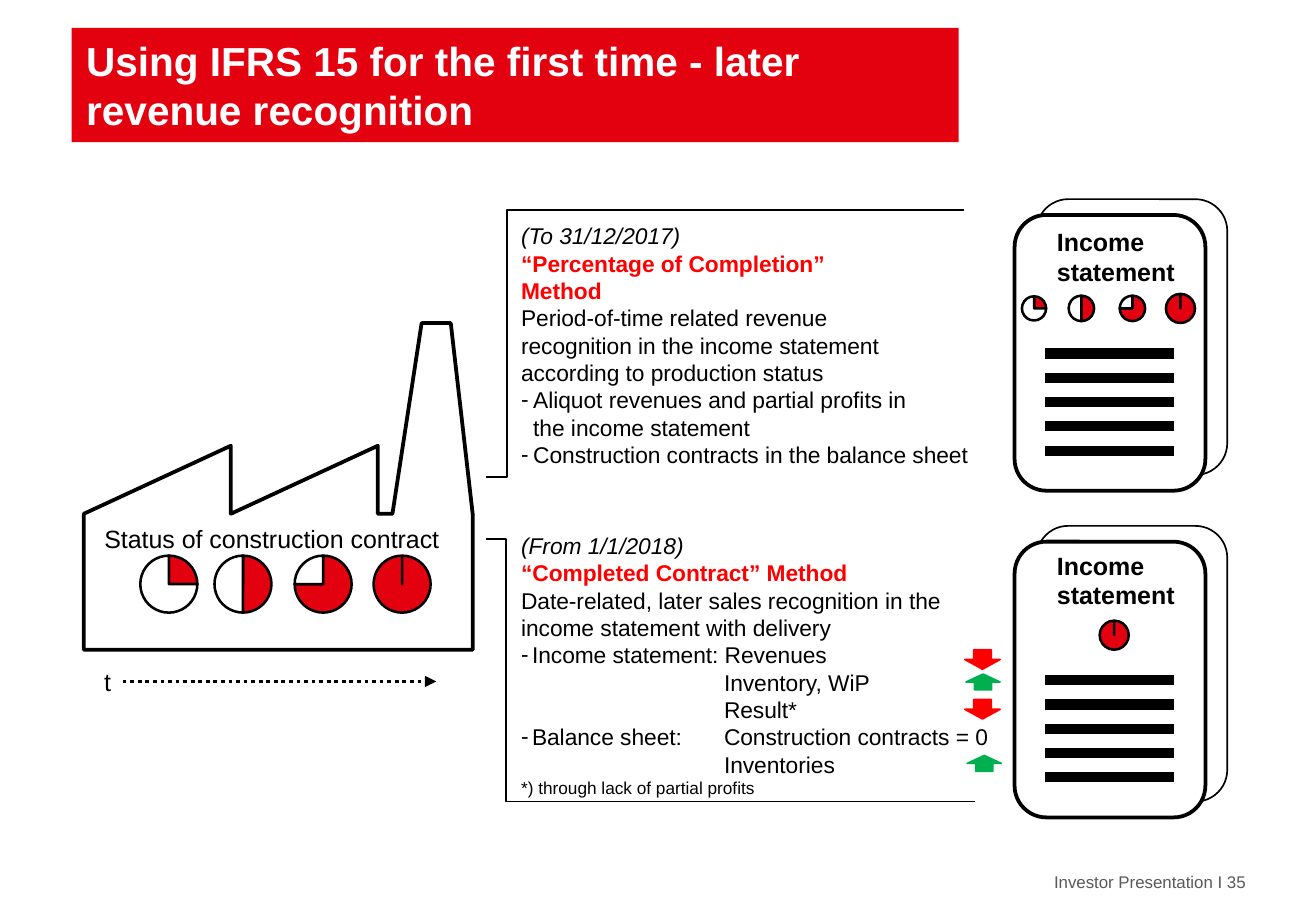
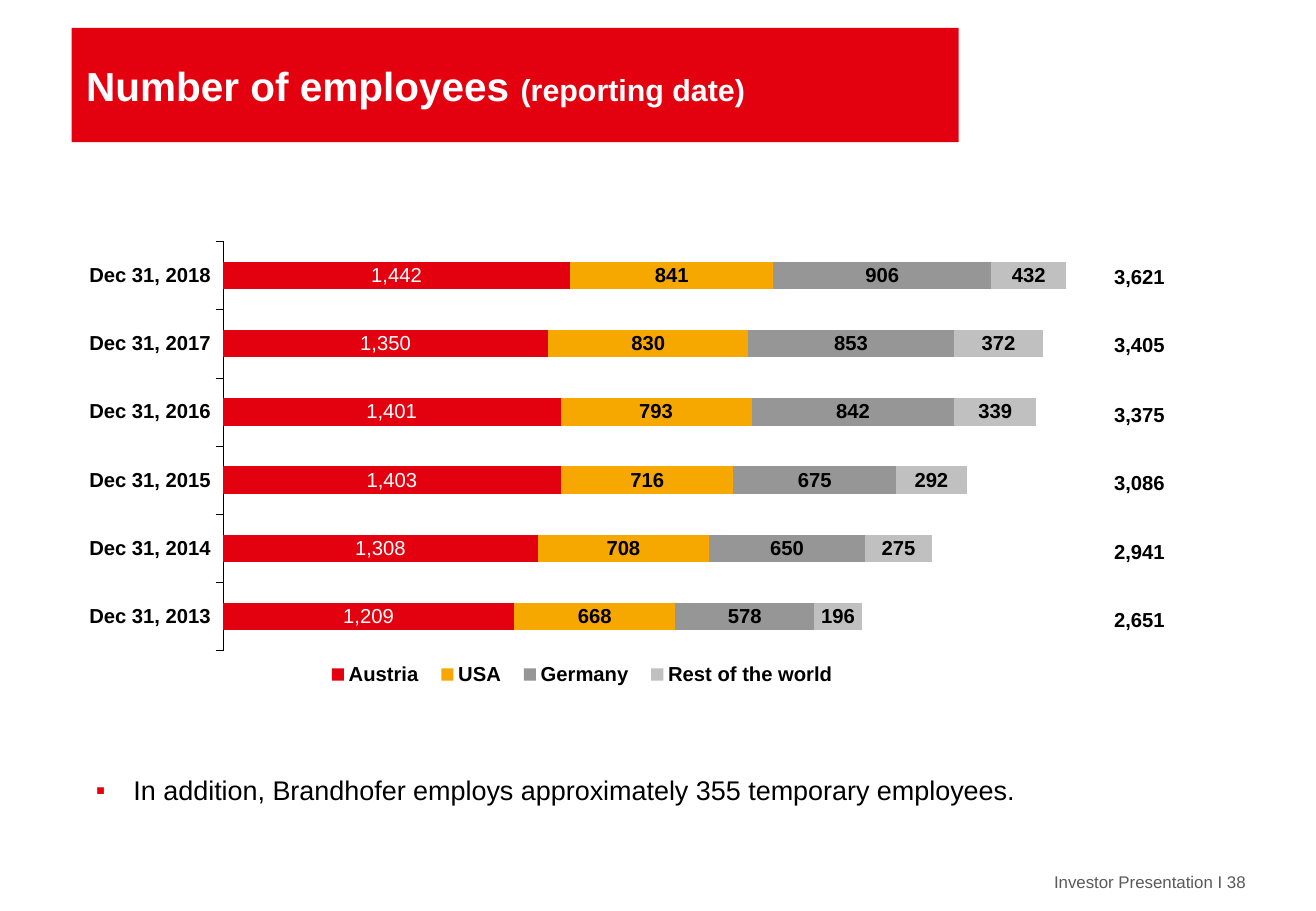
from dataclasses import dataclass

from lxml.etree import SubElement
from pptx import Presentation
from pptx.chart.data import CategoryChartData
from pptx.dml.color import RGBColor
from pptx.enum.chart import XL_CHART_TYPE, XL_LABEL_POSITION, XL_LEGEND_POSITION, XL_TICK_MARK
from pptx.enum.dml import MSO_LINE
from pptx.enum.shapes import MSO_CONNECTOR, MSO_SHAPE
from pptx.enum.text import MSO_ANCHOR, PP_ALIGN
from pptx.oxml.ns import qn
from pptx.util import Pt

PX = 9144  # EMU in one px; 100 px make an inch


@dataclass(frozen=True)
class Theme:
    font: str = "Arial"
    brand: str = "E3000F"
    black: str = "000000"
    white: str = "FFFFFF"
    red: str = "FF0000"
    green: str = "00B050"
    footer_grey: str = "5A5A5A"
    amber: str = "F6A800"
    grey: str = "969696"
    light_grey: str = "C0C0C0"
    title: float = 24
    subtitle: float = 18
    bullet: float = 16
    label: float = 14.8
    body: float = 13.5
    chart: float = 12
    note: float = 10.2
    footer: float = 10


THEME = Theme()


@dataclass
class Span:
    text: str
    size: float = THEME.body
    color: str = THEME.black
    bold: bool = False
    italic: bool = False


@dataclass
class Para:
    spans: list
    left: int = 0
    bullet: str = ""
    bullet_color: str = THEME.black
    tab: int = 0
    align: PP_ALIGN = PP_ALIGN.LEFT


def rgb(color):
    return RGBColor.from_string(color)


def emu(*lengths):
    return [length * PX for length in lengths]


def style_font(font, size, color, bold=False, italic=False):
    font.name, font.size, font.bold, font.italic = THEME.font, Pt(size), bold, italic
    font.color.rgb = rgb(color)


def add_indent(paragraph, para):
    """Set the left margin, the hanging bullet and the tab stop."""
    properties = paragraph._p.get_or_add_pPr()
    properties.set("marL", str(para.left * PX))
    properties.set("indent", str(-para.left * PX if para.bullet else 0))
    if para.bullet:
        color = SubElement(properties, qn("a:buClr"))
        SubElement(color, qn("a:srgbClr"), val=para.bullet_color)
        SubElement(properties, qn("a:buFont"), typeface=THEME.font)
        SubElement(properties, qn("a:buChar"), char=para.bullet)
    if para.tab:
        stops = SubElement(properties, qn("a:tabLst"))
        SubElement(stops, qn("a:tab"), pos=str(para.tab * PX), algn="l")


def add_text(slide, bounds, paras, insets=(10, 5), anchor=MSO_ANCHOR.TOP, wrap=True):
    frame = slide.shapes.add_textbox(*emu(*bounds)).text_frame
    frame.word_wrap, frame.vertical_anchor = wrap, anchor
    frame.margin_left = frame.margin_right = insets[0] * PX
    frame.margin_top = frame.margin_bottom = insets[1] * PX
    for index, para in enumerate(paras):
        paragraph = frame.add_paragraph() if index else frame.paragraphs[0]
        add_indent(paragraph, para)
        paragraph.alignment = para.align
        for span in para.spans:
            run = paragraph.add_run()
            run.text = span.text
            style_font(run.font, span.size, span.color, span.bold, span.italic)


def style_shape(shape, fill=None, line=None, width=1.0):
    shape.shadow.inherit = False
    if fill:
        shape.fill.solid()
        shape.fill.fore_color.rgb = rgb(fill)
    else:
        shape.fill.background()
    if line:
        shape.line.color.rgb = rgb(line)
        shape.line.width = Pt(width)
    else:
        shape.line.fill.background()


def add_shape(slide, kind, bounds, fill=None, line=None, width=1.0):
    style_shape(slide.shapes.add_shape(kind, *emu(*bounds)), fill, line, width)


def add_line(slide, start, end, width, kind=MSO_CONNECTOR.STRAIGHT):
    connector = slide.shapes.add_connector(kind, *emu(*start, *end))
    connector.line.color.rgb = rgb(THEME.black)
    connector.line.width = Pt(width)
    SubElement(connector.element.spPr, qn("a:effectLst"))
    return connector


def add_bracket(slide, start, end, bend):
    """Draw an elbow line whose upright lies at bend, a share of its width."""
    connector = add_line(slide, start, end, 1, MSO_CONNECTOR.ELBOW)
    guides = connector.element.spPr.find(qn("a:prstGeom")).get_or_add_avLst()
    SubElement(guides, qn("a:gd"), name="adj1", fmla=f"val {round(bend * 100000)}")


def set_layout(parent, position, x, y, width, height):
    """Place a plot area or legend by shares of the chart's size."""
    for old in parent.findall(qn("c:layout")):
        parent.remove(old)
    layout = SubElement(parent, qn("c:layout"))
    parent.insert(position, layout)
    manual = SubElement(layout, qn("c:manualLayout"))
    if parent.tag == qn("c:plotArea"):
        SubElement(manual, qn("c:layoutTarget"), val="inner")
    for tag in ("xMode", "yMode"):
        SubElement(manual, qn(f"c:{tag}"), val="edge")
    for tag, value in zip("xywh", (x, y, width, height)):
        SubElement(manual, qn(f"c:{tag}"), val=f"{value:.3f}")


def add_chart(slide, kind, bounds, data, size, bold=False):
    chart = slide.shapes.add_chart(kind, *emu(*bounds), data).chart
    chart.has_title = chart.has_legend = False
    style_font(chart.font, size, THEME.black, bold)
    properties = SubElement(chart.element, qn("c:spPr"))
    SubElement(properties, qn("a:noFill"))
    SubElement(SubElement(properties, qn("a:ln")), qn("a:noFill"))
    chart.element.find(qn("c:chart")).addnext(properties)
    return chart


def add_progress_pie(slide, bounds, done, diameter):
    data = CategoryChartData()
    data.categories = ["1", "2", "3", "4"]
    data.add_series("Series 1", [done, 100 - done, None, None])
    chart = add_chart(slide, XL_CHART_TYPE.PIE, bounds, data, THEME.footer)
    width, height = diameter / bounds[2], diameter / bounds[3]
    plot_area = chart.element.find(".//" + qn("c:plotArea"))
    set_layout(plot_area, 0, (1 - width) / 2, (1 - height) / 2, width, height)
    plot = chart.plots[0]
    plot.vary_by_categories = True
    for index in range(4):
        point = plot.series[0].points[index].format
        point.fill.solid()
        point.fill.fore_color.rgb = rgb(THEME.white if index else THEME.brand)
        point.line.color.rgb = rgb(THEME.black)
        point.line.width = Pt(1.5)


def add_frame(deck, title_spans, number):
    """Add a slide with the title band and the footer."""
    slide = deck.slides.add_slide(deck.slide_layouts[6])
    add_shape(slide, MSO_SHAPE.RECTANGLE, (59, 23, 730, 94), THEME.brand)
    footer = Span(f"Investor Presentation I {number}", THEME.footer, THEME.footer_grey)
    add_text(slide, (836, 718, 189, 20), [Para([footer], align=PP_ALIGN.RIGHT)], (0, 0))
    spans = [Span(text, size, THEME.white, True) for text, size in title_spans]
    add_text(slide, (71, 23, 706, 94), [Para(spans)], (0, 0), MSO_ANCHOR.MIDDLE)
    return slide


def add_label(slide, bounds, *lines, bold=False):
    paras = [Para([Span(line, THEME.label, bold=bold)]) for line in lines]
    add_text(slide, bounds, paras, wrap=False)


def add_income_statement(slide, top, heading_top, pies):
    add_shape(slide, MSO_SHAPE.ROUNDED_RECTANGLE, (853, top, 157, 227), None, THEME.black)
    add_shape(slide, MSO_SHAPE.ROUNDED_RECTANGLE, (835, top + 13, 157, 227),
              THEME.white, THEME.black, 2.25)
    add_label(slide, (860, heading_top, 118, 60), "Income", "statement", bold=True)
    for left, width, done, diameter in pies:
        add_progress_pie(slide, (left, top + 60, width, 60), done, diameter)
    for row in range(5):
        y = top + 127 + 20 * row
        add_line(slide, (860, y), (966, y), 6)


def add_factory(slide):
    outline = [(69, 423), (190, 367), (190, 423), (311, 367), (311, 423), (323, 423),
               (347, 266), (371, 266), (389, 423), (389, 535)]
    builder = slide.shapes.build_freeform(69, 535, scale=PX)
    builder.add_line_segments(outline, close=True)
    style_shape(builder.convert_to_shape(), None, THEME.black, 2.25)
    pies = ((102, 74, 25), (162, 76, 50), (228, 76, 75), (290, 82, 100))
    for left, width, done in pies:
        add_progress_pie(slide, (left, 444, width, 74), done, 47)
    add_label(slide, (76, 426, 299, 35), "Status of construction contract")
    add_label(slide, (76, 544, 26, 35), "t")
    arrow = add_line(slide, (101, 561), (359, 561), 2.25)
    arrow.line.dash_style = MSO_LINE.ROUND_DOT
    SubElement(arrow.element.spPr.find(qn("a:ln")), qn("a:tailEnd"), type="triangle")


def method_heading(period, *names):
    return [Para([Span(period, italic=True)]),
            *(Para([Span(name, color=THEME.red, bold=True)]) for name in names)]


def build_revenue_slide(deck):
    title = "Using IFRS 15 for the first time - later revenue recognition"
    slide = add_frame(deck, [(title, THEME.title)], 35)
    add_income_statement(slide, 164, 182, [
        (828, 46, 25, 20), (866, 48, 50, 21), (908, 48, 75, 21), (946, 51, 100, 24)])
    add_text(slide, (419, 178, 393, 215), [
        *method_heading("(To 31/12/2017)", "“Percentage of Completion”", "Method"),
        Para([Span("Period-of-time related revenue")]),
        Para([Span("recognition in the income statement")]),
        Para([Span("according to production status")]),
        Para([Span("Aliquot revenues and partial profits in")], 10, "-"),
        Para([Span("the income statement")], 10),
        Para([Span("Construction contracts in the balance sheet")], 10, "-"),
    ], wrap=False)
    add_bracket(slide, (400, 393), (793, 173), 0.044)
    column = 167
    add_text(slide, (419, 433, 414, 232), [
        *method_heading("(From 1/1/2018)", "“Completed Contract” Method"),
        Para([Span("Date-related, later sales recognition in the")]),
        Para([Span("income statement with delivery")]),
        Para([Span("Income statement: Revenues")], 9, "-"),
        Para([Span("Inventory, WiP")], column),
        Para([Span("Result*")], column),
        Para([Span("Balance sheet:\tConstruction contracts = 0")], 9, "-", tab=column),
        Para([Span("Inventories")], column),
        Para([Span("*) through lack of partial profits", THEME.note)]),
    ])
    add_bracket(slide, (400, 444), (802, 660), 0.041)
    for top in (535, 576):
        add_shape(slide, MSO_SHAPE.DOWN_ARROW, (794, top, 29, 16), THEME.red, THEME.red)
    for left, top in ((795, 555), (796, 622)):
        add_shape(slide, MSO_SHAPE.UP_ARROW, (left, top, 28, 13), THEME.green, THEME.green)
    add_factory(slide)
    add_income_statement(slide, 433, 448, [(891, 52, 100, 24)])


def add_employee_chart(slide, years, regions):
    data = CategoryChartData(number_format="#,##0")
    data.categories = [f"Dec 31, {year}" for year in years]
    for name, values, _ in regions:
        data.add_series(name, values)
    chart = add_chart(slide, XL_CHART_TYPE.BAR_STACKED, (22, 117, 933, 478), data,
                      THEME.chart, True)
    set_layout(chart.element.find(".//" + qn("c:plotArea")), 0, 0.173, 0.171, 0.744, 0.705)
    plot = chart.plots[0]
    plot.gap_width, plot.overlap, plot.vary_by_categories = 150, 100, False
    for series, (_, _, color) in zip(plot.series, regions):
        series.format.fill.solid()
        series.format.fill.fore_color.rgb = rgb(color)
        labels = series.data_labels
        labels.show_value, labels.position = True, XL_LABEL_POSITION.CENTER
        labels.number_format, labels.number_format_is_linked = "#,##0", False
        on_red = color == THEME.brand
        style_font(labels.font, THEME.chart, THEME.white if on_red else THEME.black, not on_red)
    values = chart.value_axis
    values.minimum_scale, values.maximum_scale, values.major_unit = 0, 3500, 500
    values.has_major_gridlines = values.visible = False
    dates = chart.category_axis
    dates.major_tick_mark, dates.minor_tick_mark = XL_TICK_MARK.OUTSIDE, XL_TICK_MARK.NONE
    dates.format.line.color.rgb = rgb(THEME.black)
    dates.format.line.width = Pt(0.25)
    chart.has_legend = True
    chart.legend.position = XL_LEGEND_POSITION.BOTTOM
    chart.legend.include_in_layout = False
    style_font(chart.legend.font, THEME.chart, THEME.black, True)
    set_layout(chart.element.find(".//" + qn("c:legend")), 1, 0.255, 0.892, 0.47, 0.05)


def build_employee_slide(deck):
    slide = add_frame(deck, [("Number of employees ", THEME.title),
                             ("(reporting date)", THEME.subtitle)], 38)
    note = Span("In addition, Brandhofer employs approximately 355 temporary employees.",
                THEME.bullet)
    add_text(slide, (69, 623, 985, 55), [Para([note], 31, "▪", THEME.brand)],
             anchor=MSO_ANCHOR.MIDDLE)
    regions = [
        ("Austria", (1209, 1308, 1403, 1401, 1350, 1442), THEME.brand),
        ("USA", (668, 708, 716, 793, 830, 841), THEME.amber),
        ("Germany", (578, 650, 675, 842, 853, 906), THEME.grey),
        ("Rest of the world", (196, 275, 292, 339, 372, 432), THEME.light_grey),
    ]
    add_employee_chart(slide, range(2013, 2019), regions)
    totals = [sum(column) for column in zip(*(values for _, values, _ in regions))]
    for row, total in enumerate(reversed(totals)):
        span = Span(f"{total:,}", THEME.chart, bold=True)
        add_text(slide, (907, 213 + row * 113 // 2, 107, 30), [Para([span])])


def main():
    deck = Presentation()
    deck.slide_width, deck.slide_height = emu(1083, 750)
    build_revenue_slide(deck)
    build_employee_slide(deck)
    deck.save("out.pptx")


if __name__ == "__main__":
    main()
